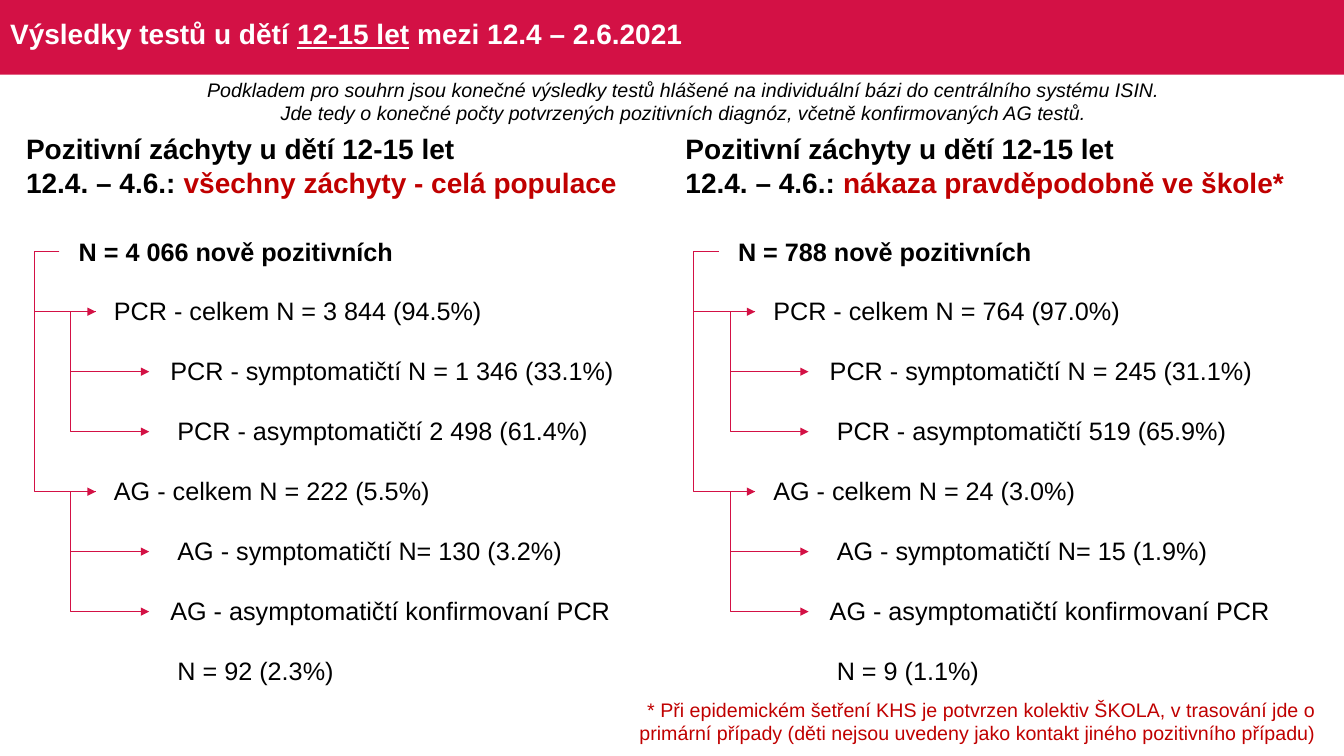
from dataclasses import dataclass

from lxml import etree
from pptx import Presentation
from pptx.dml.color import RGBColor
from pptx.enum.shapes import MSO_CONNECTOR, MSO_SHAPE
from pptx.enum.text import MSO_ANCHOR, MSO_AUTO_SIZE, PP_ALIGN
from pptx.oxml.ns import qn
from pptx.util import Inches, Pt

ELBOW = MSO_CONNECTOR.ELBOW
RECT = MSO_SHAPE.RECTANGLE
MIDDLE = MSO_ANCHOR.MIDDLE
FIXED = MSO_AUTO_SIZE.NONE
LEFT, CENTER, RIGHT = PP_ALIGN.LEFT, PP_ALIGN.CENTER, PP_ALIGN.RIGHT


@dataclass(frozen=True)
class Theme:
    font: str = "Arial"
    brand: RGBColor = RGBColor(0xD3, 0x11, 0x45)
    accent: RGBColor = RGBColor(0xC0, 0x00, 0x00)
    black: RGBColor = RGBColor(0, 0, 0)
    white: RGBColor = RGBColor(255, 255, 255)
    head: int = 20
    body: int = 18
    note: int = 14
    line: float = 0.5


THEME = Theme()

# Layout of one panel, in inches
TOP, ROW = 2.2, 0.595
STEP = 6.54      # from the left panel to the right one
SPACE = 0.07     # unit of indent
BACK = 0.25      # how far a branch reaches left of its start
INDENTS = [0, 5, 13, 14, 5, 14, 13, 14]
# Start row, end row, start x, end x
LINKS = [(0, 4, 0.59, 0.95), (1, 2, 0.95, 1.48), (1, 3, 0.95, 1.48),
         (4, 5, 0.95, 1.48), (4, 6, 0.95, 1.48), (0, 1, 0.59, 0.95)]

PANELS = [
    ("všechny záchyty - celá populace",
     ["N = 4 066 nově pozitivních",
      "PCR - celkem N = 3 844 (94.5%)",
      "PCR - symptomatičtí N = 1 346 (33.1%)",
      "PCR - asymptomatičtí 2 498 (61.4%)",
      "AG - celkem N = 222 (5.5%)",
      "AG - symptomatičtí N= 130 (3.2%)",
      "AG - asymptomatičtí konfirmovaní PCR",
      "N = 92 (2.3%)"]),
    ("nákaza pravděpodobně ve škole*",
     ["N = 788 nově pozitivních",
      "PCR - celkem N = 764 (97.0%)",
      "PCR - symptomatičtí N = 245 (31.1%)",
      "PCR - asymptomatičtí 519 (65.9%)",
      "AG - celkem N = 24 (3.0%)",
      "AG - symptomatičtí N= 15 (1.9%)",
      "AG - asymptomatičtí konfirmovaní PCR",
      "N = 9 (1.1%)"]),
]


class Deck:
    def __init__(self, theme):
        self.theme = theme
        self.file = Presentation()
        self.file.slide_width = Inches(13.33)
        self.file.slide_height = Inches(7.5)
        self.slide = self.file.slides.add_slide(self.file.slide_layouts[5])
        self.shapes = self.slide.shapes

    def style(self, run, size, color, bold=False, slant=False):
        font = run.font
        font.name, font.size = self.theme.font, Pt(size)
        font.color.rgb = color
        font.bold, font.italic = bold, slant

    def band(self, height):
        bar = self.shapes.add_shape(RECT, 0, 0, self.file.slide_width, Inches(height))
        bar.shadow.inherit = False
        bar.fill.solid()
        bar.fill.fore_color.rgb = self.theme.brand
        bar.line.fill.background()

    def title(self, parts, mark):
        box = self.shapes.title
        box.left, box.top = Inches(0), Inches(0.04)
        box.width, box.height = Inches(13.15), Inches(0.63)
        frame = box.text_frame
        frame.auto_size, frame.vertical_anchor = FIXED, MIDDLE
        para = frame.paragraphs[0]
        para.alignment, para.line_spacing = LEFT, 0.9
        for part in parts:
            run = para.add_run()
            run.text = part
            self.style(run, self.theme.head, self.theme.white, bold=True)
            run.font.underline = part == mark
        # Bring the title in front of the band
        self.shapes._spTree.append(box._element)

    def text(self, spot, lines, size, align=LEFT, bold=False, slant=False):
        """Each line is a list of (text, color) parts."""
        box = self.shapes.add_textbox(*map(Inches, spot))
        frame = box.text_frame
        frame.word_wrap = True
        for i, parts in enumerate(lines):
            para = frame.add_paragraph() if i else frame.paragraphs[0]
            para.alignment = align
            for words, color in parts:
                run = para.add_run()
                run.text = words
                self.style(run, size, color, bold, slant)

    def table(self, left, items):
        grid = self.shapes.add_table(len(items), 1, Inches(left), Inches(TOP),
                                     Inches(6.01), Inches(ROW * len(items))).table
        grid.first_row = grid.horz_banding = False
        for i, (item, indent) in enumerate(zip(items, INDENTS)):
            cell = grid.cell(i, 0)
            cell.fill.background()
            cell.vertical_anchor = MIDDLE
            cell.margin_left = Inches(0.01 + SPACE * indent)
            cell.margin_right = cell.margin_top = Inches(0.01)
            cell.margin_bottom = 0
            cell.text_frame.text = item
            self.style(cell.text_frame.paragraphs[0].runs[0], self.theme.body,
                       self.theme.black, bold=i == 0)

    def branch(self, x1, y1, x2, y2):
        link = self.shapes.add_connector(ELBOW, *map(Inches, (x1, y1, x2, y2)))
        link.line.color.rgb = self.theme.brand
        link.line.width = Pt(self.theme.line)
        # Bend left of the start, arrowhead at the end, no shadow
        props = link._element.spPr
        bend = props.find(qn("a:prstGeom")).find(qn("a:avLst"))
        ratio = round(-BACK / (x2 - x1) * 100000)
        etree.SubElement(bend, qn("a:gd"), name="adj1", fmla=f"val {ratio}")
        etree.SubElement(props.find(qn("a:ln")), qn("a:tailEnd"), type="triangle")
        etree.SubElement(props, qn("a:effectLst"))

    def panel(self, shift, topic, items):
        color = self.theme
        self.text((0.16 + shift, 1.26, 6.18, 0.77),
                  [[("Pozitivní záchyty u dětí 12-15 let", color.black)],
                   [("12.4. – 4.6.: ", color.black), (topic, color.accent)]],
                  color.head, bold=True)
        self.table(0.77 + shift, items)
        for start, end, x1, x2 in LINKS:
            y1, y2 = (TOP + ROW * (row + 0.5) for row in (start, end))
            self.branch(x1 + shift, y1, x2 + shift, y2)


def main():
    deck = Deck(THEME)

    # Title band
    deck.band(0.74)
    deck.title(["Výsledky testů u dětí ", "12-15 let", " mezi 12.4 – 2.6.2021"], "12-15 let")

    # Source of the data
    deck.text((1.79, 0.72, 9.98, 0.57),
              [[("Podkladem pro souhrn jsou konečné výsledky testů hlášené na "
                 "individuální bázi do centrálního systému ISIN.", THEME.black)],
               [("Jde tedy o konečné počty potvrzených pozitivních diagnóz, "
                 "včetně konfirmovaných AG testů.", THEME.black)]],
              THEME.note, CENTER, slant=True)

    # Two trees of results
    for i, (topic, items) in enumerate(PANELS):
        deck.panel(i * STEP, topic, items)

    # Footnote
    deck.text((6.2, 6.87, 6.95, 0.57),
              [[("* Při epidemickém šetření KHS je potvrzen kolektiv ŠKOLA, v trasování "
                 "jde o primární případy (děti nejsou uvedeny jako kontakt jiného "
                 "pozitivního případu)", THEME.accent)]],
              THEME.note, RIGHT)

    deck.file.save("out.pptx")


if __name__ == "__main__":
    main()
